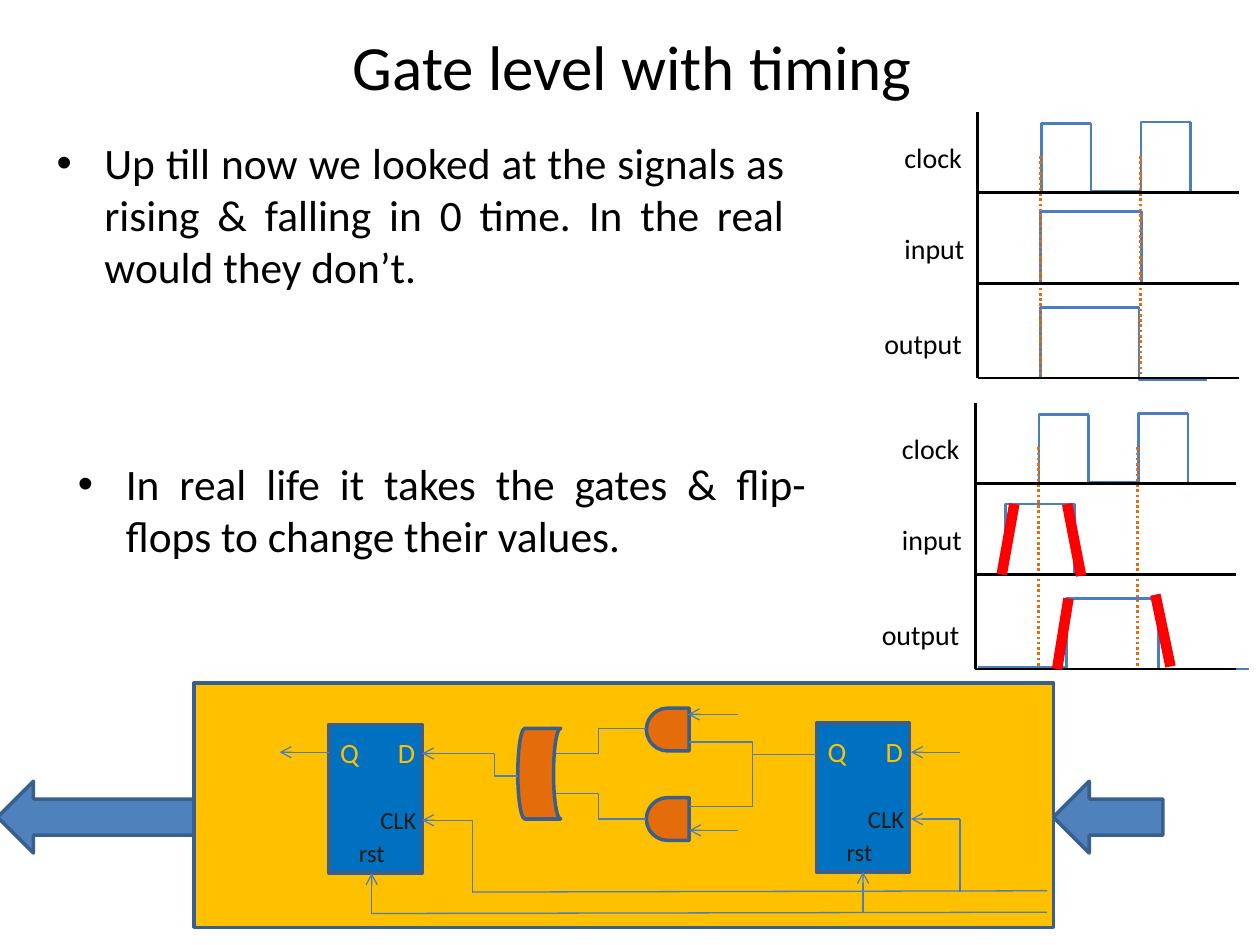
from lxml import etree
from pptx import Presentation
from pptx.dml.color import RGBColor
from pptx.enum.dml import MSO_LINE
from pptx.enum.shapes import MSO_CONNECTOR as CONN, MSO_SHAPE as SHAPE
from pptx.enum.text import MSO_ANCHOR, PP_ALIGN
from pptx.oxml.ns import qn
from pptx.util import Inches, Pt

BLACK = RGBColor(0x00, 0x00, 0x00)
RED = RGBColor(0xFF, 0x00, 0x00)
WIRE = RGBColor(0x4B, 0x7E, 0xBC)
ARROW = RGBColor(0x4F, 0x81, 0xBD)
EDGE = RGBColor(0x3A, 0x5F, 0x8C)
ORANGE = RGBColor(0xE4, 0x6C, 0x0A)
GOLD = RGBColor(0xFF, 0xC0, 0x00)
BLUE = RGBColor(0x00, 0x70, 0xC0)
DARK = RGBColor(0x1E, 0x1C, 0x11)
FONT = "Calibri"

TITLE = "Gate level with timing"
BULLETS = [
    ("Up till now we looked at the signals as rising & falling in 0 time. "
     "In the real would they don’t.", 0.35, 1.03, 1.11),
    ("In real life it takes the gates & flip-flops to change their values.",
     0.52, 3.58, 0.8),
]

# Timing diagrams: lengths are relative to the top of each vertical axis
DIAGRAMS = [(7.76, 0.89), (7.74, 3.2)]
AXIS_W, AXIS_H = 2.07, 2.11
BASELINES = [0.64, 1.36, 2.11]
EDGES = [0.5, 1.29]
SIGNALS = [("clock", -0.68, 0.18, 0.66), ("input", -0.68, 0.9, 0.68),
           ("output", -0.84, 1.65, 0.82)]
CLOCK_STEPS = [(0.11, 0.64), (0.9, 0.63)]
PULSE = 0.79

# Signal steps: x1, y1, x2, y2, position of the bend
IDEAL_STEPS = [
    (7.76, 2.25, 8.76, 1.68, 0.5), (8.45, 1.68, 9.52, 2.25, 0.568),
    (7.76, 3, 8.76, 2.44, 0.5), (8.5, 2.44, 9.58, 3.01, 0.5),
]
REAL_STEPS = [
    (7.85, 4.56, 8.53, 4, 0.191), (8.29, 4, 9.37, 4.56, 0.22),
    (7.76, 5.3, 9.17, 4.75, 0.5), (8.98, 4.75, 9.91, 5.31, 0.232),
]
SLOPES = [(8.05, 4, 7.95, 4.56), (8.48, 4.75, 8.39, 5.31),
          (8.47, 4, 8.58, 4.57), (9.17, 4.72, 9.29, 5.29)]

# Circuit: shape, left, top, width, height, fill, rotation
BLOCKS = [
    (SHAPE.RIGHT_ARROW, -0.02, 6.2, 1.56, 0.57, ARROW, 180),
    (SHAPE.RIGHT_ARROW, 8.36, 6.2, 0.87, 0.57, ARROW, 180),
    (SHAPE.RECTANGLE, 1.54, 5.42, 6.82, 1.94, GOLD, 0),
    (SHAPE.FLOWCHART_DELAY, 5.13, 5.62, 0.34, 0.34, ORANGE, 180),
    (SHAPE.FLOWCHART_DELAY, 5.13, 6.33, 0.34, 0.34, ORANGE, 180),
]
OR_GATE = (SHAPE.FLOWCHART_STORED_DATA, 4.11, 5.78, 0.34, 0.72, ORANGE, 0)
FLIP_FLOPS = [(2.61, 5.75), (6.48, 5.74)]
PINS = [("D", 0.45, 0.04, 0.34, 0.37, 16, GOLD),
        ("Q", -0.01, 0.04, 0.35, 0.37, 16, GOLD),
        ("CLK", 0.31, 0.59, 0.49, 0.34, 14, DARK),
        ("rst", 0.14, 0.85, 0.41, 0.34, 14, DARK)]
ARROWS = [
    (2.95, 7.25, 2.95, 6.93), (6.85, 7.24, 6.85, 6.92),
    (3.75, 6.51, 3.35, 6.51), (7.62, 6.5, 7.23, 6.5),
    (2.61, 5.97, 2.22, 5.97), (3.75, 5.98, 3.35, 5.98),
    (7.62, 5.97, 7.23, 5.97),
    (5.86, 6.59, 5.47, 6.59), (5.86, 5.67, 5.46, 5.67),
]
WIRES = [(2.95, 7.25, 8.31, 7.24), (3.75, 6.51, 3.75, 7.09),
         (7.62, 6.5, 7.62, 7.08), (3.75, 7.08, 8.31, 7.07)]
BENT_WIRES = [
    (5.13, 6.5, 4.37, 6.3, 0.5), (5.13, 5.78, 4.37, 5.98, 0.5),
    (3.74, 5.98, 4.11, 6.16, 0.5),
    (6.48, 5.99, 5.47, 5.89, 0.5), (6.43, 5.99, 5.47, 6.4, 0.478),
]


def add_line(x1, y1, x2, y2, bend=None, color=WIRE, width=1.5,
             dotted=False, arrow=False):
    """Straight connector, or an elbow bent at the given share of its width."""
    kind = CONN.STRAIGHT if bend is None else CONN.ELBOW
    c = shapes.add_connector(kind, *map(Inches, (x1, y1, x2, y2)))
    c.line.color.rgb = color
    c.line.width = Pt(width)
    if dotted:
        c.line.dash_style = MSO_LINE.ROUND_DOT
    sp_pr = c._element.spPr
    if arrow:
        etree.SubElement(c.line._get_or_add_ln(), qn("a:tailEnd"), type="arrow")
    if bend is not None:
        av = sp_pr.find(qn("a:prstGeom")).get_or_add_avLst()
        etree.SubElement(av, qn("a:gd"), name="adj1",
                         fmla=f"val {round(bend * 100000)}")
    etree.SubElement(sp_pr, qn("a:effectLst"))


def add_block(kind, x, y, w, h, fill, rotation=0):
    sp = shapes.add_shape(kind, *map(Inches, (x, y, w, h)))
    sp.shadow.inherit = False
    sp.fill.solid()
    sp.fill.fore_color.rgb = fill
    sp.line.color.rgb = EDGE
    sp.line.width = Pt(2)
    sp.rotation = rotation


def add_text(text, x, y, w, h, size, color=BLACK, wrap=False):
    tf = shapes.add_textbox(*map(Inches, (x, y, w, h))).text_frame
    tf.word_wrap = wrap
    p = tf.paragraphs[0]
    p.text = text
    p.font.name, p.font.size, p.font.color.rgb = FONT, Pt(size), color
    return p


def add_bullet(text, x, y, h):
    p = add_text(text, x, y, 5.98, h, 24.8, wrap=True)
    p.alignment = PP_ALIGN.JUSTIFY
    p_pr = p._p.get_or_add_pPr()
    p_pr.set("marL", str(Inches(0.38)))
    p_pr.set("indent", str(Inches(-0.38)))
    bullet_font = etree.Element(qn("a:buFont"), typeface="Arial")
    bullet = etree.Element(qn("a:buChar"), char="•")
    p_pr.insert(0, bullet_font)
    bullet_font.addnext(bullet)


def add_timing_diagram(x, y, steps):
    for dx, dy in CLOCK_STEPS:
        left, low = x + dx, y + dy
        add_line(left, low, left + PULSE, low - 0.55, 0.5)
        add_line(left + PULSE, low - 0.55, left + PULSE, low)
    for step in steps:
        add_line(*step)
    for dx in EDGES:
        add_line(x + dx, y + 0.35, x + dx, y + 2.1, color=ORANGE, dotted=True)
    for dy in BASELINES:
        add_line(x, y + dy, x + AXIS_W, y + dy, color=BLACK)
    add_line(x, y + AXIS_H, x, y, color=BLACK)
    for name, dx, dy, w in SIGNALS:
        add_text(name, x + dx, y + dy, w, 0.37, 16)


prs = Presentation()
prs.slide_width, prs.slide_height = Inches(10), Inches(7.5)
s = prs.slides.add_slide(prs.slide_layouts[5])
shapes = s.shapes

title = shapes.title
title.left, title.top, title.width, title.height = map(
    Inches, (0.08, 0.04, 9.88, 0.95))
title.text_frame.vertical_anchor = MSO_ANCHOR.MIDDLE
p = title.text_frame.paragraphs[0]
p.text = TITLE
p.alignment = PP_ALIGN.CENTER
p.font.name, p.font.size, p.font.color.rgb = FONT, Pt(36), BLACK

for bullet_item in BULLETS:
    add_bullet(*bullet_item)
for (x, y), steps in zip(DIAGRAMS, (IDEAL_STEPS, REAL_STEPS)):
    add_timing_diagram(x, y, steps)
for slope in SLOPES:
    add_line(*slope, color=RED, width=6)

for block in BLOCKS:
    add_block(*block)
for x, y in FLIP_FLOPS:
    add_block(SHAPE.RECTANGLE, x, y, 0.74, 1.18, BLUE)
    for name, dx, dy, w, h, size, color in PINS:
        add_text(name, x + dx, y + dy, w, h, size, color)
for wire in ARROWS:
    add_line(*wire, width=0.75, arrow=True)
for wire in WIRES + BENT_WIRES[:2]:
    add_line(*wire, width=0.75)
add_block(*OR_GATE)
for wire in BENT_WIRES[2:]:
    add_line(*wire, width=0.75)

prs.save("out.pptx")
